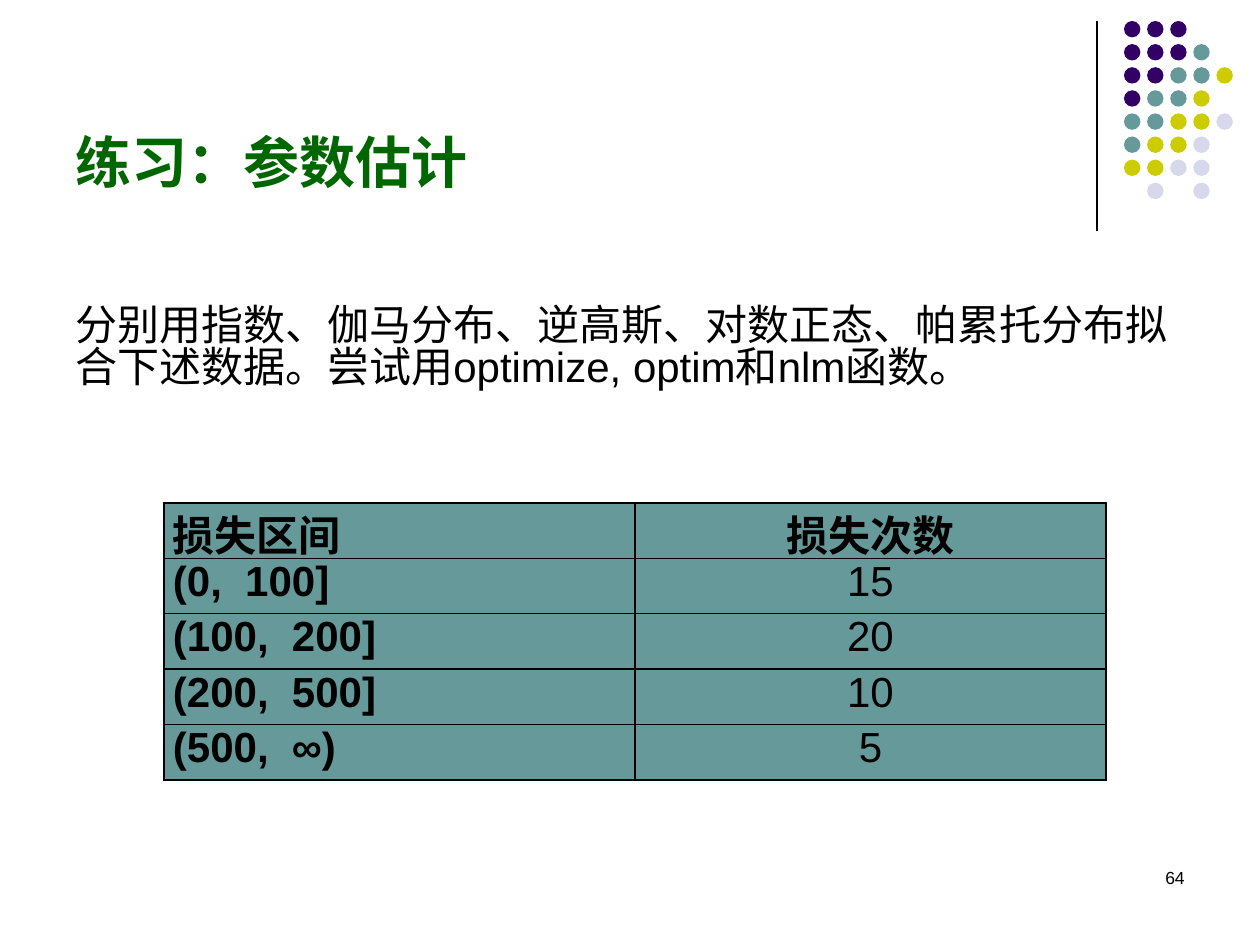
from lxml.etree import SubElement
from pptx import Presentation
from pptx.dml.color import RGBColor
from pptx.enum.shapes import MSO_CONNECTOR as Connector, MSO_SHAPE as Shape
from pptx.enum.text import MSO_ANCHOR as Anchor, PP_ALIGN as Align
from pptx.oxml.ns import qn
from pptx.util import Emu, Pt

FONT = "Arial"
BLACK, GREEN, TEAL = "000000", "006600", "669999"
DOT_COLORS = {"p": "330066", "t": TEAL, "y": "CCCC00", "l": "D8D8EC"}
DOT_ROWS = ["ppp", "pppt", "pptty", "ptty", "ttyyl", "tyyl", "yyll", " l l"]
LOSSES = [("损失区间", "损失次数"), ("(0,  100]", "15"), ("(100,  200]", "20"),
          ("(200,  500]", "10"), ("(500,  ∞)", "5")]


def px(n):
    return Emu(round(n * 914400 / 126))


def rgb(color):
    return RGBColor.from_string(color)


def style(p, size, color=BLACK, bold=False, align=Align.LEFT):
    p.alignment = align
    for r in p.runs:
        r.font.name, r.font.size, r.font.bold = FONT, Pt(size), bold
        r.font.color.rgb = rgb(color)


def add_text(slide, box, text, size, anchor=Anchor.TOP, top=6, bottom=6, **look):
    tf = slide.shapes.add_textbox(*map(px, box)).text_frame
    tf.word_wrap = True
    tf.vertical_anchor = anchor
    tf.margin_top, tf.margin_bottom = px(top), px(bottom)
    p = tf.paragraphs[0]
    p.text = text
    style(p, size, **look)
    return p


def add_dots(slide, left, top, pitch=23.1, size=16.4):
    """Corner ornament: one letter of DOT_ROWS for each dot."""
    group = slide.shapes.add_group_shape()
    for row, letters in enumerate(DOT_ROWS):
        for col, letter in enumerate(letters):
            if letter == " ":
                continue
            dot = group.shapes.add_shape(Shape.OVAL, px(left + col * pitch),
                                         px(top + row * pitch), px(size), px(size))
            dot.shadow.inherit = False
            dot.fill.solid()
            dot.fill.fore_color.rgb = rgb(DOT_COLORS[letter])
            dot.line.fill.background()


def add_rule(slide, x, top, bottom):
    line = slide.shapes.add_connector(Connector.STRAIGHT, px(x), px(top), px(x), px(bottom))
    line.line.color.rgb = rgb(BLACK)
    line.line.width = Pt(0.75)
    SubElement(line._element.spPr, qn("a:effectLst"))


def add_borders(cell, color, width):
    tcPr = cell._tc.get_or_add_tcPr()
    for i, side in enumerate(("a:lnL", "a:lnR", "a:lnT", "a:lnB")):
        ln = tcPr.makeelement(qn(side), {"w": str(Pt(width))})
        fill = SubElement(ln, qn("a:solidFill"))
        SubElement(fill, qn("a:srgbClr"), val=color)
        tcPr.insert(i, ln)


def add_loss_table(slide, box):
    table = slide.shapes.add_table(len(LOSSES), 2, *map(px, box)).table
    for i, values in enumerate(LOSSES):
        for j, value in enumerate(values):
            cell = table.cell(i, j)
            cell.fill.solid()
            cell.fill.fore_color.rgb = rgb(TEAL)
            cell.margin_left = cell.margin_right = px(9)
            cell.margin_top = cell.margin_bottom = 0
            p = cell.text_frame.paragraphs[0]
            p.text = value
            p.space_before = Pt(5.8)
            style(p, 24, bold=i == 0 or j == 0, align=Align.CENTER if j else Align.LEFT)
            add_borders(cell, BLACK, 1)


prs = Presentation()
prs.slide_width, prs.slide_height = px(1260), px(945)
slide = prs.slides.add_slide(prs.slide_layouts[6])

# Corner ornament
add_rule(slide, 1097, 21, 231)
add_dots(slide, 1124, 21)

# Title, task and page number
add_text(slide, (63, 16, 1040, 179), "练习：参数估计", 32, Anchor.BOTTOM, bottom=0,
         color=GREEN, bold=True)
task = add_text(slide, (63, 237, 1134, 607),
                "分别用指数、伽马分布、逆高斯、对数正态、帕累托分布拟合下述数据。"
                "尝试用optimize, optim和nlm函数。", 24, top=71)
task.line_spacing = 0.82
add_text(slide, (903, 861, 294, 63), "64", 10, align=Align.RIGHT)

# Loss table
add_loss_table(slide, (164, 503, 942, 277))

prs.save("out.pptx")
